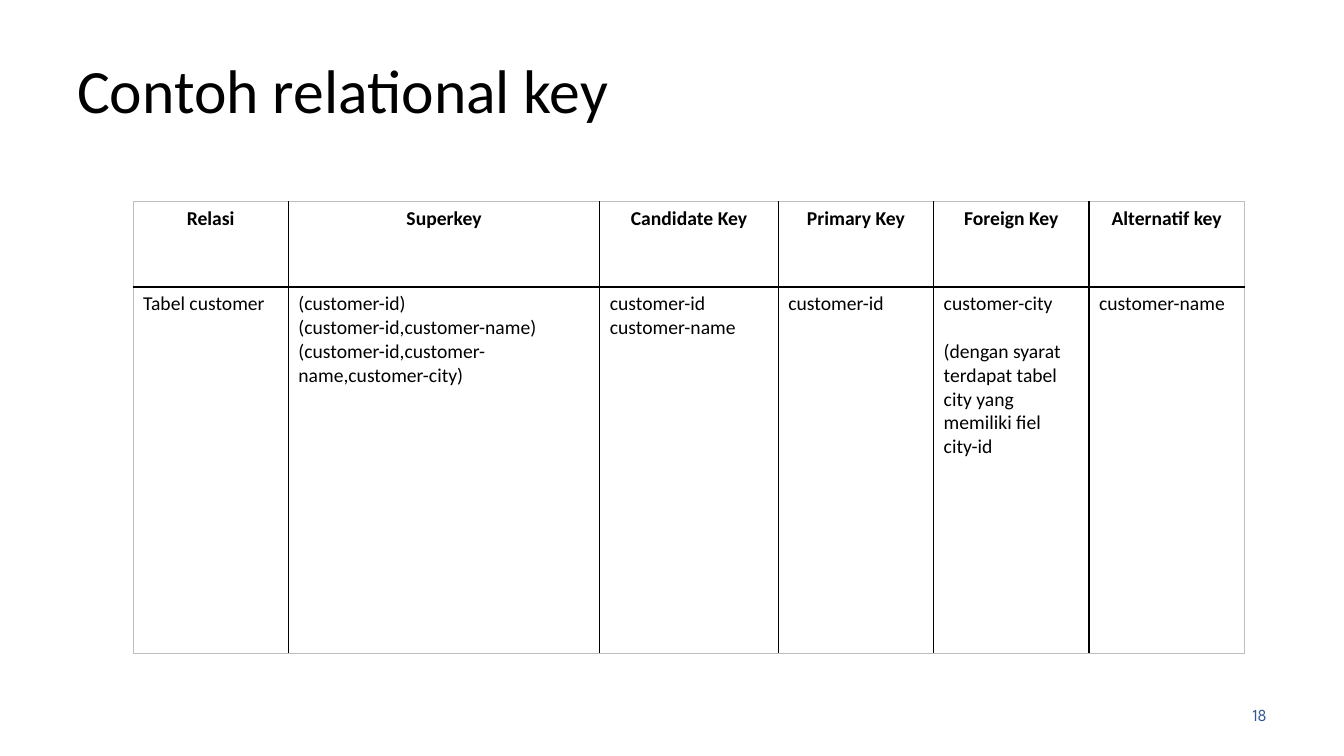
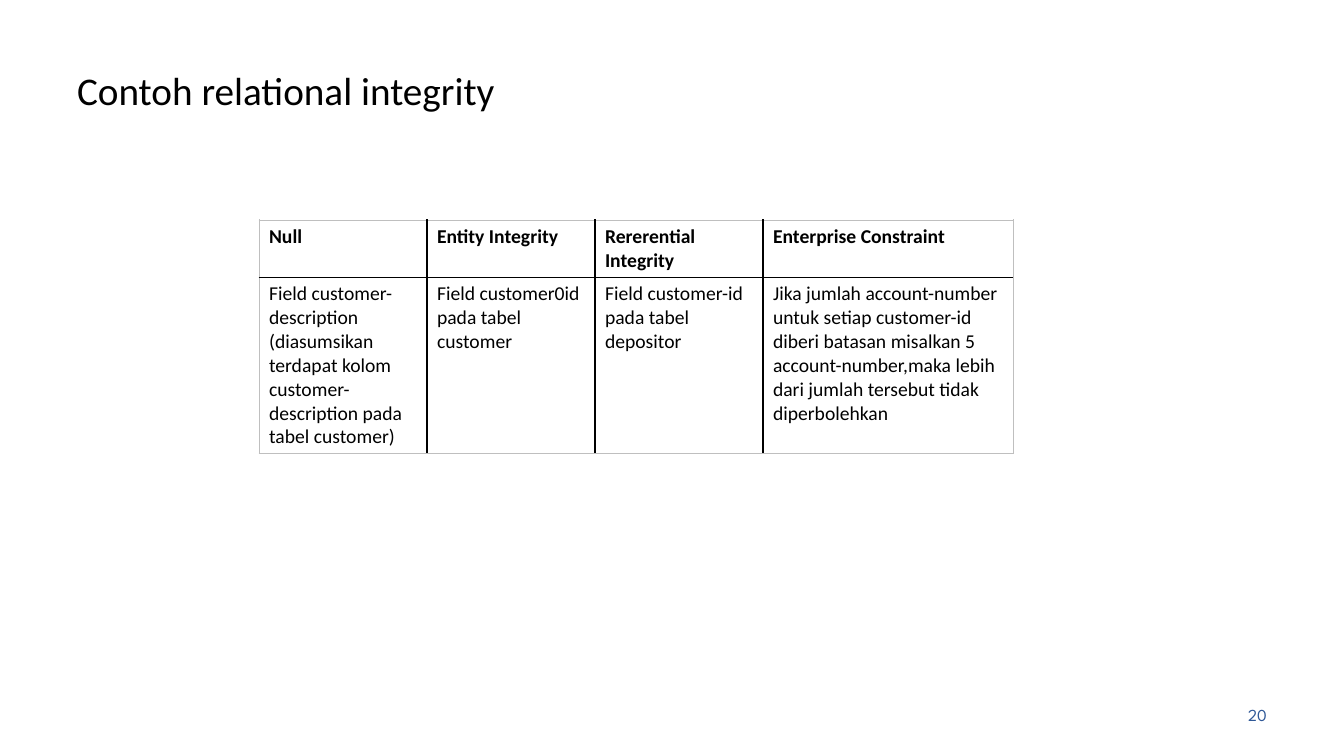
from dataclasses import dataclass
from lxml.etree import SubElement
from pptx import Presentation
from pptx.dml.color import RGBColor
from pptx.enum.text import MSO_ANCHOR, PP_ALIGN
from pptx.oxml.ns import qn
from pptx.util import Pt


@dataclass(frozen=True)
class Theme:
    text: str = "000000"
    number: str = "2F5897"
    inner_border: str = "000000"
    outer_border: str = "BFBFBF"
    body_font: str = "Calibri"
    number_font: str = "League Spartan"
    table_size: int = 14
    number_size: int = 12
    inner_width: float = 1
    outer_width: float = 0.5


theme = Theme()


def add_run(paragraph, text, size, font=theme.body_font, color=theme.text, bold=False):
    run = paragraph.add_run()
    run.text = text
    run.font.size = Pt(size)
    run.font.name = font
    run.font.bold = bold
    run.font.color.rgb = RGBColor.from_string(color)


def add_border(cell, edge, outer):
    width = theme.outer_width if outer else theme.inner_width
    color = theme.outer_border if outer else theme.inner_border
    properties = cell._tc.get_or_add_tcPr()
    line = SubElement(properties, qn(f"a:{edge}"), w=str(Pt(width)))
    fill = SubElement(line, qn("a:solidFill"))
    SubElement(fill, qn("a:srgbClr"), val=color)


slides = [
    {
        "title": "Contoh relational key",
        "title_size": 44,
        "number": "18",
        "position": (95, 144),
        "columns": [111, 222.5, 127.5, 111, 111, 111],
        "rows": [61, 262],
        "header_alignment": PP_ALIGN.CENTER,
        "paragraph_gaps": {(4, 1): 17},
        "header": ["Relasi", "Superkey", "Candidate Key", "Primary Key", "Foreign Key", "Alternatif key"],
        "body": [
            ["Tabel customer"],
            ["(customer-id)", "(customer-id,customer-name)", "(customer-id,customer-name,customer-city)"],
            ["customer-id", "customer-name"],
            ["customer-id"],
            ["customer-city", "(dengan syarat terdapat tabel city yang memiliki fiel city-id"],
            ["customer-name"],
        ],
    },
    {
        "title": "Contoh relational integrity",
        "title_size": 28,
        "number": "20",
        "position": (185, 157),
        "columns": [120, 120, 120, 178.5],
        "rows": [41, 126],
        "header_alignment": PP_ALIGN.LEFT,
        "paragraph_gaps": {},
        "header": ["Null", "Entity Integrity", "Rererential Integrity", "Enterprise Constraint"],
        "body": [
            [
                "Field customer-description",
                "(diasumsikan terdapat kolom customer-description pada tabel customer)",
            ],
            ["Field customer0id pada tabel customer"],
            ["Field customer-id pada tabel depositor"],
            [
                "Jika jumlah account-number untuk setiap customer-id diberi batasan misalkan 5 "
                "account-number,maka lebih dari jumlah tersebut tidak diperbolehkan"
            ],
        ],
    },
]

presentation = Presentation()
presentation.slide_width = Pt(960)
presentation.slide_height = Pt(540)

for content in slides:
    slide = presentation.slides.add_slide(presentation.slide_layouts[6])

    title = slide.shapes.add_textbox(Pt(48), Pt(21.6), Pt(864), Pt(90)).text_frame
    title.word_wrap = True
    title.vertical_anchor = MSO_ANCHOR.MIDDLE
    title.paragraphs[0].line_spacing = 0.9
    add_run(title.paragraphs[0], content["title"], content["title_size"])

    number = slide.shapes.add_textbox(Pt(688), Pt(492), Pt(224), Pt(37.5)).text_frame
    number.word_wrap = True
    number.vertical_anchor = MSO_ANCHOR.MIDDLE
    number.paragraphs[0].alignment = PP_ALIGN.RIGHT
    add_run(number.paragraphs[0], content["number"], theme.number_size, theme.number_font, theme.number)

    columns, rows = content["columns"], content["rows"]
    left, top = content["position"]
    table = slide.shapes.add_table(
        len(rows), len(columns), Pt(left), Pt(top), Pt(sum(columns)), Pt(sum(rows))
    ).table
    table.first_row = False
    table.horz_banding = False
    for column, width in zip(table.columns, columns):
        column.width = Pt(width)
    for row, height in zip(table.rows, rows):
        row.height = Pt(height)

    cell_texts = [[[heading] for heading in content["header"]], content["body"]]
    for row_index, row_texts in enumerate(cell_texts):
        is_header = row_index == 0
        for column_index, lines in enumerate(row_texts):
            cell = table.cell(row_index, column_index)
            add_border(cell, "lnL", column_index == 0)
            add_border(cell, "lnR", column_index == len(columns) - 1)
            add_border(cell, "lnT", is_header)
            add_border(cell, "lnB", row_index == len(rows) - 1)
            cell.fill.background()
            for line_index, line in enumerate(lines):
                frame = cell.text_frame
                paragraph = frame.add_paragraph() if line_index else frame.paragraphs[0]
                paragraph.alignment = content["header_alignment"] if is_header else PP_ALIGN.LEFT
                gap = content["paragraph_gaps"].get((column_index, line_index))
                if gap and not is_header:
                    paragraph.space_before = Pt(gap)
                add_run(paragraph, line, theme.table_size, bold=is_header)

presentation.save("out.pptx")
